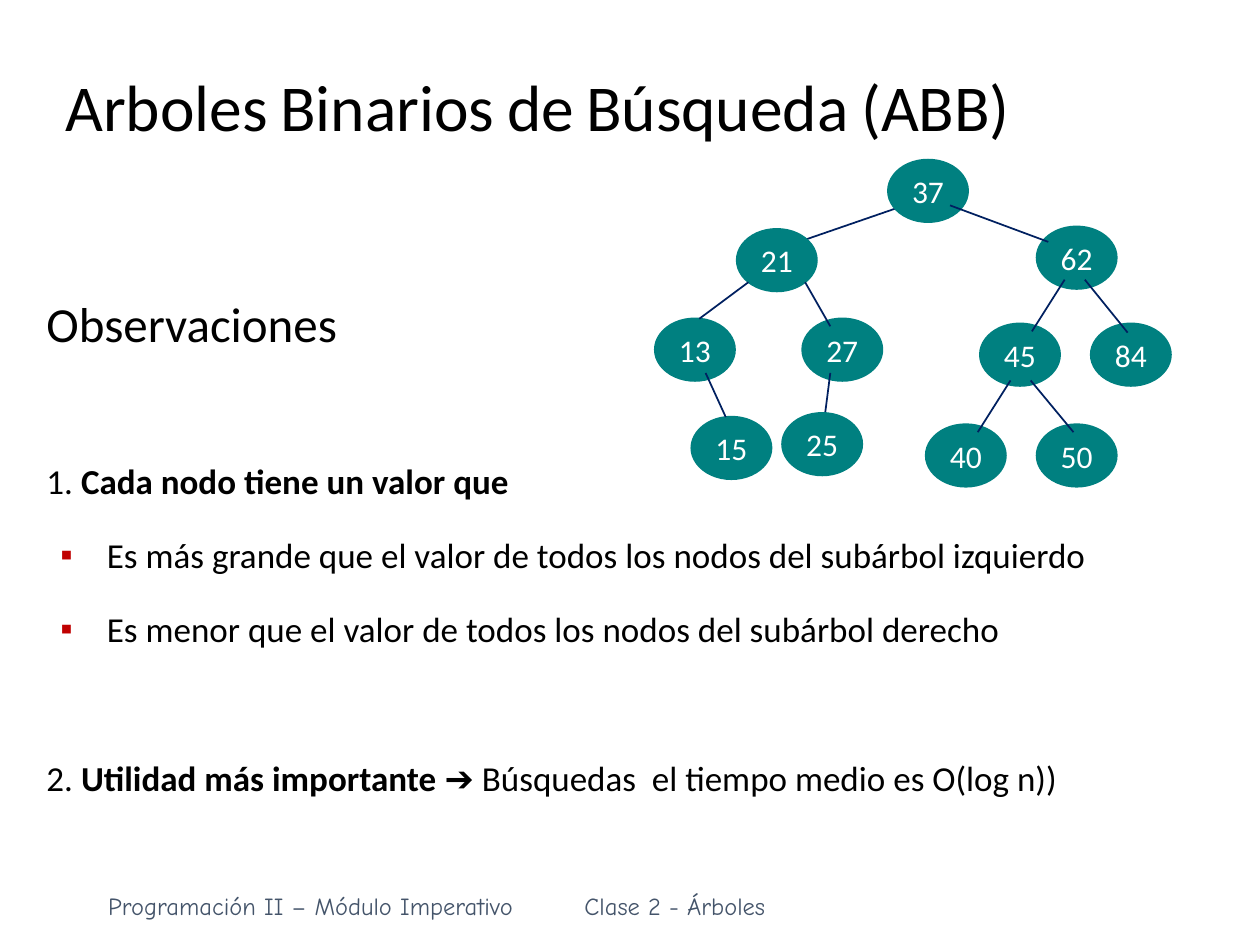
from lxml import etree
from pptx import Presentation
from pptx.dml.color import RGBColor
from pptx.enum import shapes, text
from pptx.oxml import ns
from pptx.util import Inches, Pt

BLACK = RGBColor(0, 0, 0)
WHITE = RGBColor(255, 255, 255)
TEAL = RGBColor(0, 0x80, 0x80)
NAVY = RGBColor(0, 0x20, 0x60)
SLATE = RGBColor(0x44, 0x54, 0x6A)
RED = "C00000"
FONT = "Calibri"

TITLE = "Arboles Binarios de Búsqueda (ABB)"
FOOT = [
    ("Programación II – Módulo Imperativo", 0.76, 3.43),
    ("Clase 2 - Árboles", 4.54, 1.64),
]
# size, space before, bulleted, runs of (text, bold, font)
BODY = [
    (28, 0, False, [("Observaciones", False, FONT)]),
    (20, 52.5, False, [("1. ", False, FONT),
                       ("Cada nodo tiene un valor que", True, FONT)]),
    (20, 10, True, [("Es más grande que el valor de todos los nodos "
                     "del subárbol izquierdo", False, FONT)]),
    (20, 10, True, [("Es menor que el valor de todos los nodos "
                     "del subárbol derecho", False, FONT)]),
    (20, 52.5, False, [("2. ", False, FONT),
                       ("Utilidad más importante ", True, FONT),
                       ("➔", False, "Arial"),
                       (" Búsquedas  el tiempo medio es O(log n))", False, FONT)]),
]
NODE = (0.65, 0.51)
NODES = {
    37: (7.04, 1.26),
    62: (8.22, 1.79), 21: (5.84, 1.81),
    13: (5.19, 2.52), 27: (6.36, 2.52), 45: (7.77, 2.56), 84: (8.65, 2.56),
    15: (5.48, 3.3), 25: (6.2, 3.27), 40: (7.34, 3.36), 50: (8.22, 3.36),
}
BACK = [(7.18, 1.63, 6.34, 1.92)]
FRONT = [
    (7.54, 1.63, 8.32, 1.92),
    (5.94, 2.24, 5.55, 2.53), (6.39, 2.24, 6.59, 2.59),
    (8.45, 2.22, 8.19, 2.63), (8.61, 2.22, 8.95, 2.64),
    (5.6, 2.96, 5.76, 3.31), (6.59, 2.96, 6.55, 3.27),
    (8.02, 3.02, 7.76, 3.43), (8.18, 3.02, 8.52, 3.43),
]


def style(font, size, color, name=FONT, bold=False):
    font.size = Pt(size)
    font.color.rgb = color
    font.name = name
    font.bold = bold


def add_run(para, words, size, color, name=FONT, bold=False):
    run = para.add_run()
    run.text = words
    style(run.font, size, color, name, bold)


def add_bullet(para):
    props = para._p.get_or_add_pPr()
    props.set("marL", str(Inches(0.48)))
    props.set("indent", str(Inches(-0.37)))
    color = etree.SubElement(props, ns.qn("a:buClr"))
    etree.SubElement(color, ns.qn("a:srgbClr"), val=RED)
    etree.SubElement(props, ns.qn("a:buFont"), typeface="Arial")
    etree.SubElement(props, ns.qn("a:buChar"), char="▪")


def add_plain(parent, kind, box, fill):
    shape = parent.add_shape(kind, *map(Inches, box))
    shape.shadow.inherit = False
    shape.fill.solid()
    shape.fill.fore_color.rgb = fill
    shape.line.fill.background()
    shape.text_frame.vertical_anchor = text.MSO_ANCHOR.MIDDLE
    return shape


def add_edges(parent, edges):
    for ends in edges:
        edge = parent.add_connector(shapes.MSO_CONNECTOR.STRAIGHT,
                                    *map(Inches, ends))
        edge.line.color.rgb = NAVY
        edge.line.width = Pt(1)
        etree.SubElement(edge._element.spPr, ns.qn("a:effectLst"))


def add_foot(parent):
    for words, left, width in FOOT:
        frame = parent.add_textbox(
            *map(Inches, (left, 7.02, width, 0.34))).text_frame
        frame.word_wrap = False
        frame.text = words
        style(frame.paragraphs[0].runs[0].font, 14, SLATE, "Comic Neue")


def add_body(parent):
    frame = parent.add_textbox(*map(Inches, (0.27, 2.12, 9.45, 4.31))).text_frame
    frame.word_wrap = True
    for i, (size, gap, listed, runs) in enumerate(BODY):
        para = frame.add_paragraph() if i else frame.paragraphs[0]
        para.alignment = text.PP_ALIGN.JUSTIFY
        para.line_spacing = 1.35
        para.space_before = Pt(gap)
        if listed:
            add_bullet(para)
        for words, bold, name in runs:
            add_run(para, words, size, BLACK, name, bold)


def add_title(parent):
    shape = add_plain(parent, shapes.MSO_SHAPE.RECTANGLE,
                      (0.42, 0.49, 9.07, 0.77), WHITE)
    para = shape.text_frame.paragraphs[0]
    para.alignment = text.PP_ALIGN.LEFT
    para.line_spacing = 0.9
    for i, word in enumerate(TITLE.split()):
        if i:
            add_run(para, " ", 30.6, NAVY, bold=True)
        add_run(para, word, 37.4, BLACK)


def add_tree(parent):
    tree = parent.add_group_shape().shapes
    add_edges(tree, BACK)
    for value, spot in NODES.items():
        frame = add_plain(tree, shapes.MSO_SHAPE.OVAL, spot + NODE, TEAL).text_frame
        frame.word_wrap = False
        frame.text = str(value)
        para = frame.paragraphs[0]
        para.alignment = text.PP_ALIGN.CENTER
        style(para.runs[0].font, 18, WHITE)
    add_edges(tree, FRONT)


def main():
    deck = Presentation()
    deck.slide_width, deck.slide_height = Inches(10), Inches(7.5)
    parts = deck.slides.add_slide(deck.slide_layouts[6]).shapes
    for add in (add_foot, add_body, add_title, add_tree):
        add(parts)
    deck.save("out.pptx")


if __name__ == "__main__":
    main()
